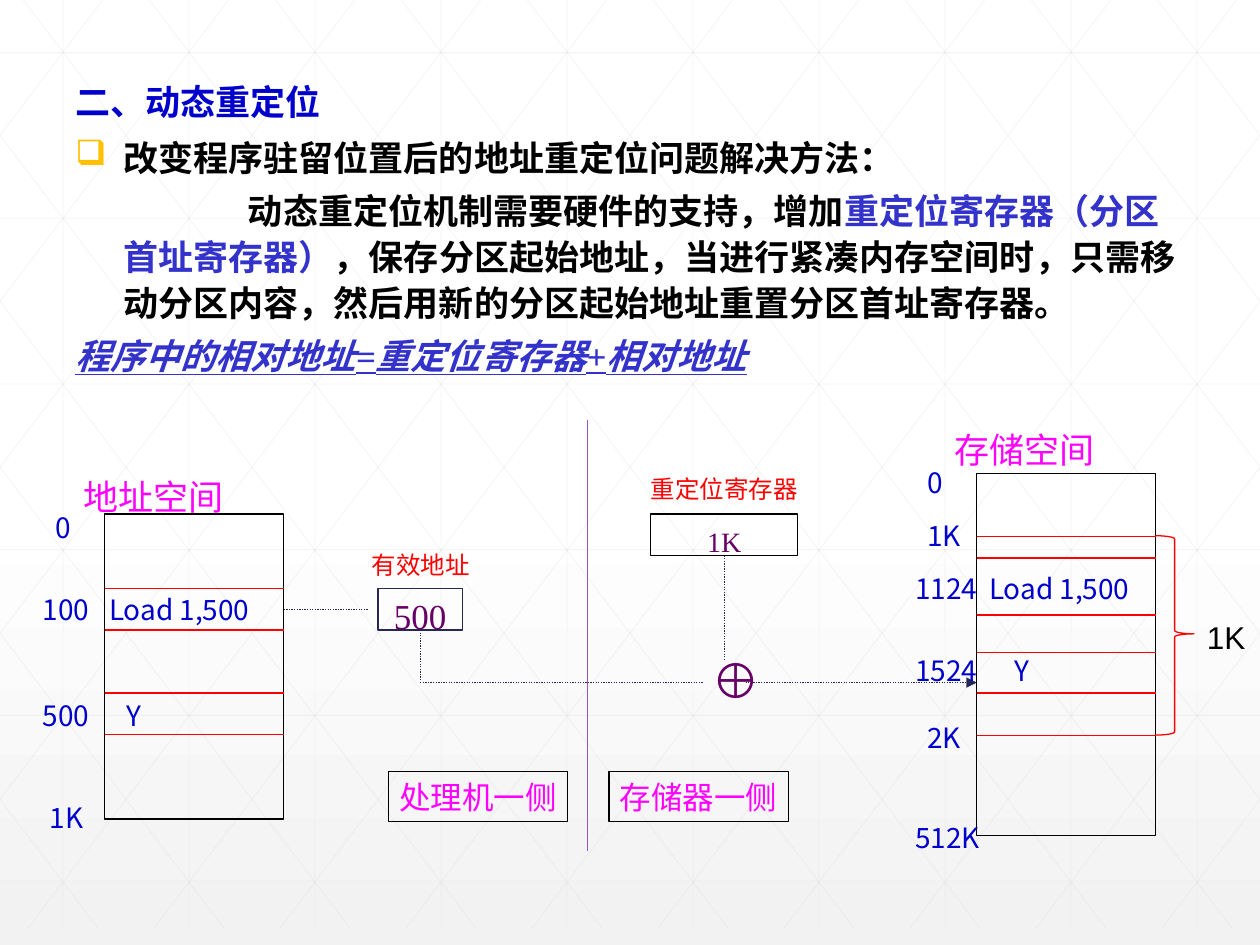
from pptx import Presentation
from pptx.dml.color import RGBColor
from pptx.enum.dml import MSO_LINE
from pptx.enum.shapes import MSO_CONNECTOR, MSO_SHAPE
from pptx.enum.text import MSO_ANCHOR, MSO_AUTO_SIZE, PP_ALIGN
from pptx.oxml.ns import qn
from pptx.util import Cm, Pt
from lxml import etree

RECTANGLE, BRACE = MSO_SHAPE.RECTANGLE, MSO_SHAPE.RIGHT_BRACE
STRAIGHT = MSO_CONNECTOR.STRAIGHT
DOTTED = MSO_LINE.ROUND_DOT
MIDDLE = MSO_ANCHOR.MIDDLE
LEFT, CENTER = PP_ALIGN.LEFT, PP_ALIGN.CENTER
NO_AUTOFIT = MSO_AUTO_SIZE.NONE
BOTTOM_SITE = 2

SANS, SERIF = "Noto Sans CJK SC", "Times New Roman"
BLACK, RED, NAVY, MAGENTA = "000000", "FF0000", "242852", "FF00FF"
BLUE, INDIGO, PURPLE, GRID = "0000CC", "3333CC", "660066", "D9D9D9"
rgb = RGBColor.from_string

presentation = Presentation()
presentation.slide_width, presentation.slide_height = Cm(25.4), Cm(19.05)
slide = presentation.slides.add_slide(presentation.slide_layouts[5])
shapes = slide.shapes


def write(paragraph, text, size=20, color=BLACK, font=SERIF, bold=False, italic=False, underline=False):
    """Add one formatted run, with the sans font for its Chinese characters."""
    run = paragraph.add_run()
    run.text = text
    run.font.size = Pt(size)
    run.font.name = font
    run.font.bold, run.font.italic, run.font.underline = bold, italic, underline
    run.font.color.rgb = rgb(color)
    etree.SubElement(run.font._element, qn("a:ea"), typeface=SANS)


def draw_line(x1, y1, x2, y2, color, width=0.75, dash=None, alpha=None, arrow=False, start=None):
    """Draw a straight line in centimetres; start is a shape joined at its bottom."""
    line = shapes.add_connector(STRAIGHT, Cm(x1), Cm(y1), Cm(x2), Cm(y2))
    line.line.color.rgb = rgb(color)
    line.line.width = Pt(width)
    if dash:
        line.line.dash_style = dash
    properties = line._element.spPr
    if alpha:
        color_element = properties.find(".//" + qn("a:srgbClr"))
        etree.SubElement(color_element, qn("a:alpha"), val=str(alpha * 1000))
    if arrow:
        etree.SubElement(properties.find(qn("a:ln")), qn("a:tailEnd"), type="triangle")
    etree.SubElement(properties, qn("a:effectLst"))
    if start is not None:
        line.begin_connect(start, BOTTOM_SITE)


# Background: gradient and a faint triangular grid
fill = slide.background.fill
fill.gradient()
fill.gradient_angle = 270
for stop, position, color in zip(fill.gradient_stops, (0.53, 1), ("FFFFFF", "F2F2F2")):
    stop.position = position
    stop.color.rgb = rgb(color)

width, bottom, step, run_length = 25.4, 18.72, 2.54, 14.21
slope = bottom / run_length
grid_lines = [(1.27 + step * i, 0, 1.27 + step * i, bottom) for i in range(10)]
grid_lines += [(0, 1.06 + 3.34 * i, width, 1.06 + 3.34 * i) for i in range(6)]
for i in range(-5, 10):
    top_x = 0.47 + step * i
    x1, x2 = max(top_x, 0), min(top_x + run_length, width)
    y1, y2 = (x1 - top_x) * slope, (x2 - top_x) * slope
    grid_lines += [(x1, y1, x2, y2), (width - x1, y1, width - x2, y2)]
for ends in grid_lines:
    draw_line(*ends, GRID, width=0.5, alpha=25)

# Heading, brought in front of the grid
title = shapes.title
title.element.getparent().append(title.element)
title.left, title.top, title.width, title.height = Cm(1.27), Cm(1.47), Cm(23.06), Cm(1.17)
title.text_frame.auto_size = NO_AUTOFIT
title.text_frame.vertical_anchor = MIDDLE
heading = title.text_frame.paragraphs[0]
heading.alignment = LEFT
write(heading, "二、动态重定位", color=BLUE, font=SANS, bold=True)

# Explanation: left margin, first-line indent, runs
explanation = [
    (0.97, -0.97, [("改变程序驻留位置后的地址重定位问题解决方法：", {})]),
    (0.97, 2.51, [
        ("动态重定位机制需要硬件的支持，增加", {}),
        ("重定位寄存器（分区首址寄存器）", {"color": INDIGO}),
        ("，保存分区起始地址，当进行紧凑内存空间时，只需移动分区内容，"
         "然后用新的分区起始地址重置分区首址寄存器。", {})]),
    (0, 0, [("程序中的相对地址=重定位寄存器+相对地址",
             {"color": INDIGO, "italic": True, "underline": True})]),
]
frame = shapes.add_textbox(Cm(1.27), Cm(2.54), Cm(23.06), Cm(6.12)).text_frame
frame.word_wrap = True
for index, (margin, indent, runs) in enumerate(explanation):
    paragraph = frame.add_paragraph() if index else frame.paragraphs[0]
    paragraph.line_spacing = Pt(26.3)
    paragraph.space_before = Pt(4 if index else 0)
    properties = paragraph._p.get_or_add_pPr()
    properties.set("marL", str(Cm(margin)))
    properties.set("indent", str(Cm(indent)))
    if indent < 0:
        bullet_color = etree.SubElement(properties, qn("a:buClr"))
        etree.SubElement(bullet_color, qn("a:srgbClr"), val="FFC000")
        etree.SubElement(properties, qn("a:buChar"), char="❑")
    for text, style in runs:
        write(paragraph, text, bold=True, **style)

# Boxes and brace: preset, left, top, width, height, line, text, top inset, text style
outlines = {
    "address space": (RECTANGLE, 2.11, 10.36, 3.61, 6.15, BLACK, "", 0, {}),
    "memory": (RECTANGLE, 19.69, 9.55, 3.61, 7.29, BLACK, "", 0, {}),
    "effective address": (RECTANGLE, 7.62, 11.86, 1.7, 0.84, NAVY, "500", 0.25,
                          {"color": PURPLE}),
    "register": (RECTANGLE, 13.12, 10.36, 2.96, 0.84, BLACK, "1K", 0.25,
                 {"size": 16, "color": PURPLE}),
    "processor side": (RECTANGLE, 7.83, 15.56, 3.61, 1, BLACK, "处理机一侧", 0,
                       {"size": 18, "color": MAGENTA}),
    "memory side": (RECTANGLE, 12.28, 15.56, 3.61, 1, BLACK, "存储器一侧", 0,
                    {"size": 18, "color": MAGENTA}),
    "partition": (BRACE, 23.29, 10.8, 0.78, 4.02, RED, "", 0, {}),
}
boxes = {}
for name, (preset, left, top, box_width, height, color, text, inset, style) in outlines.items():
    shape = shapes.add_shape(preset, Cm(left), Cm(top), Cm(box_width), Cm(height))
    shape.shadow.inherit = False
    shape.fill.background()
    shape.line.color.rgb = rgb(color)
    shape.line.width = Pt(0.75)
    if text:
        frame = shape.text_frame
        frame.margin_left = frame.margin_right = frame.margin_bottom = 0
        frame.margin_top = Cm(inset)
        frame.vertical_anchor = MIDDLE
        frame.paragraphs[0].alignment = CENTER
        write(frame.paragraphs[0], text, **style)
    boxes[name] = shape
boxes["partition"].adjustments[0] = 0.083
boxes["partition"].adjustments[1] = 0.492

# Cell borders inside the two spaces
for left, border_tops in ((2.11, (11.86, 12.7, 13.97, 14.81)),
                          (19.69, (10.82, 11.25, 12.4, 13.16, 13.97, 14.83))):
    for top in border_tops:
        draw_line(left, top, left + 3.61, top, RED)

# Address flow and the divider between the two sides
draw_line(5.72, 12.29, 7.42, 12.29, NAVY, dash=DOTTED)
draw_line(8.47, 12.7, 8.47, 13.76, NAVY, dash=DOTTED, start=boxes["effective address"])
draw_line(8.47, 13.76, 14.17, 13.76, NAVY, dash=DOTTED)
draw_line(14.6, 11.2, 14.6, 13.33, NAVY, dash=DOTTED, start=boxes["register"])
draw_line(15.03, 13.76, 19.69, 13.76, NAVY, dash=DOTTED, arrow=True)
draw_line(11.85, 8.46, 11.85, 17.15, "9454C3")

# Labels: text, left, vertical centre, width, style
address = {"size": 16, "color": BLUE, "font": SANS}
space_name = {"color": MAGENTA, "font": SANS}
caption = {"size": 14, "color": RED}
labels = [
    ("地址空间", 1.68, 10, 3.2, space_name),
    ("0", 1.12, 10.64, 0.7, address),
    ("100", 0.86, 12.28, 1.2, address),
    ("Load 1,500", 2.2, 12.28, 3.4, address),
    ("500", 0.86, 14.43, 1.2, address),
    ("Y", 2.56, 14.43, 0.7, address),
    ("1K", 1, 16.47, 1, address),
    ("存储空间", 19.24, 9.07, 3.2, space_name),
    ("0", 18.69, 9.72, 0.7, address),
    ("1K", 18.69, 10.79, 1, address),
    ("1124", 18.45, 11.87, 1.5, address),
    ("Load 1,500", 19.94, 11.87, 3.3, address),
    ("1524", 18.45, 13.51, 1.5, address),
    ("Y", 20.45, 13.51, 0.7, address),
    ("2K", 18.69, 14.86, 1, address),
    ("512K", 18.45, 16.87, 1.5, address),
    ("有效地址", 7.49, 11.38, 2.3, caption),
    ("重定位寄存器", 13.12, 9.86, 3.2, caption),
    ("⊕", 14.35, 13.69, 1, {"size": 28, "color": PURPLE}),
    ("1K", 24.33, 12.84, 1.05, {"size": 18, "font": "Arial"}),
]
for text, left, middle, label_width, style in labels:
    frame = shapes.add_textbox(Cm(left), Cm(middle - 0.5), Cm(label_width), Cm(1)).text_frame
    frame.margin_left = frame.margin_right = frame.margin_top = frame.margin_bottom = 0
    frame.word_wrap = True
    frame.vertical_anchor = MIDDLE
    write(frame.paragraphs[0], text, **style)

presentation.save("out.pptx")
